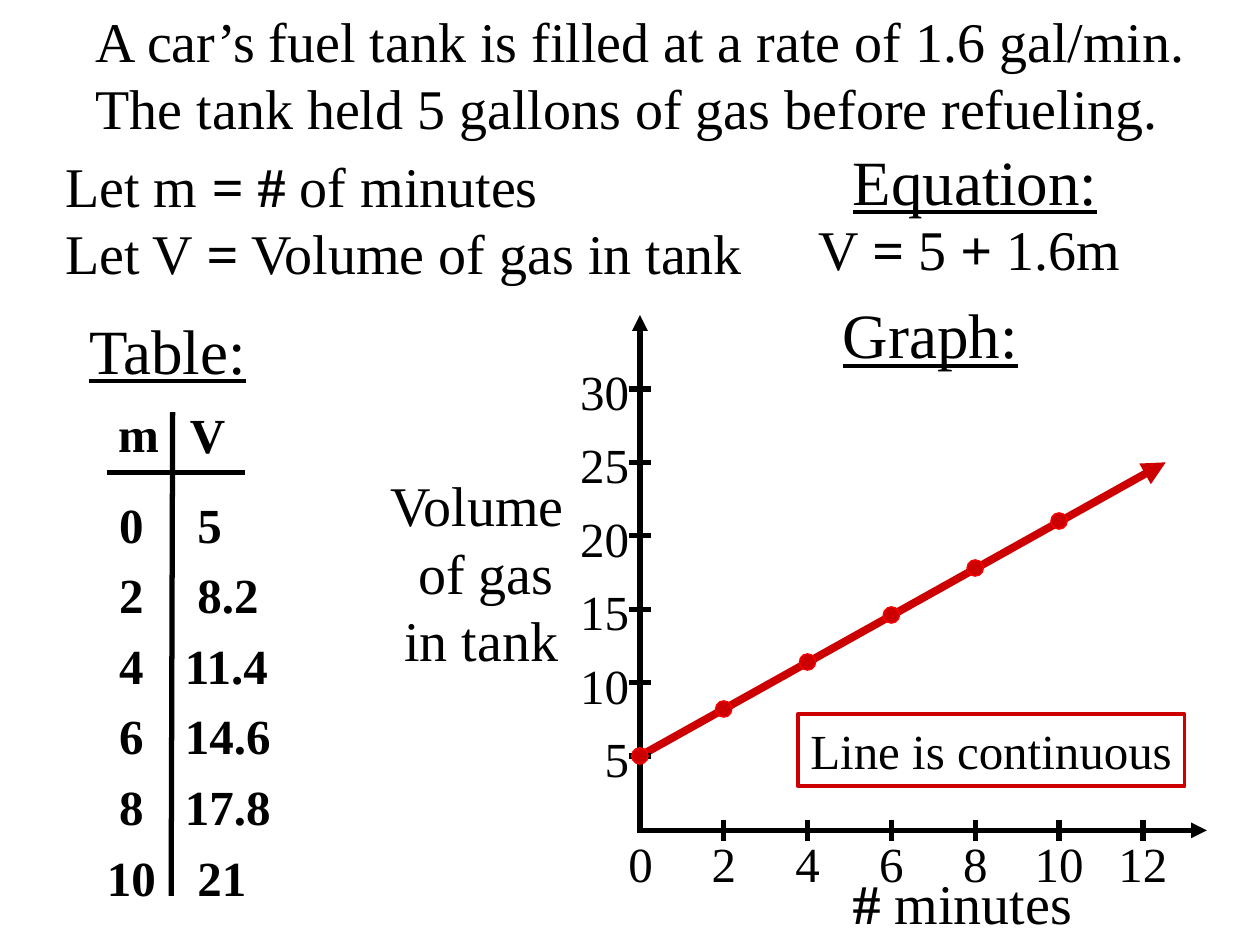
from lxml import etree
from pptx import Presentation
from pptx import util as u
from pptx.dml.color import RGBColor
from pptx.enum import shapes, text
from pptx.oxml.ns import qn

FONT = "Times New Roman"
BLACK, RED, BRIGHT_RED = "000000", "CC0000", "FF0000"
LEFT, CENTER, RIGHT = text.PP_ALIGN.LEFT, text.PP_ALIGN.CENTER, text.PP_ALIGN.RIGHT

# Asterisks enclose bold words; lengths are in cm.
PROBLEM = ["A car’s fuel tank is filled at a rate of 1.6 gal/min.",
           "The tank held 5 gallons of gas before refueling."]
VARIABLES = ["Let m *= #* of minutes", "Let V *=* Volume of gas in tank"]
EQUATION = ["V *=* 5 *+* 1.6m"]
HEADINGS = [("Table:", 1.55, 6.15), ("Graph:", 16.74, 5.84), ("Equation:", 16.94, 2.74)]
VALUES = [(0, 5), (2, 8.2), (4, 11.4), (6, 14.6), (8, 17.8), (10, 21)]
MINUTES = [2, 4, 6, 8, 10, 12]
GALLONS = [5, 10, 15, 20, 25, 30]
VOLUME_LABEL = ["Volume", "of gas", "in tank"]

ORIGIN_X, ORIGIN_Y = 12.9, 16.74
FIVE_GALLONS_Y = 15.24
MINUTE = 1.69 / 2
GALLON = 1.48 / 5
TICK = 0.43
DOT = 0.33


def color(value):
    return RGBColor.from_string(value)


def x_at(minutes):
    return ORIGIN_X + minutes * MINUTE


def y_at(gallons):
    return FIVE_GALLONS_Y - (gallons - 5) * GALLON


def write(frame, lines, size, bold=False, underline=False, align=LEFT, spacing=None, indents=()):
    frame.word_wrap = True
    for index, line in enumerate(lines):
        para = frame.paragraphs[0] if index == 0 else frame.add_paragraph()
        para.alignment = align
        if spacing:
            para.line_spacing = spacing
        if index < len(indents):
            para._p.get_or_add_pPr().set("marL", str(u.Cm(indents[index])))
        for part, words in enumerate(line.split("*")):
            if words:
                span = para.add_run()
                span.text = words
                span.font.name = FONT
                span.font.size = u.Pt(size)
                span.font.bold = bold or part % 2 == 1
                span.font.underline = underline
                span.font.color.rgb = color(BLACK)


def add_text(left, top, width, height, lines, size, **style):
    box = page.shapes.add_textbox(u.Cm(left), u.Cm(top), u.Cm(width), u.Cm(height))
    write(box.text_frame, lines, size, **style)
    return box


def add_line(x1, y1, x2, y2, line_color=BLACK, weight=3, arrow=False):
    line = page.shapes.add_connector(shapes.MSO_CONNECTOR.STRAIGHT,
                                     u.Cm(x1), u.Cm(y1), u.Cm(x2), u.Cm(y2))
    line.line.color.rgb = color(line_color)
    line.line.width = u.Pt(weight)
    if arrow:
        etree.SubElement(line.line._get_or_add_ln(), qn("a:tailEnd"), type="triangle")
    etree.SubElement(line._element.spPr, qn("a:effectLst"))


def add_shape(kind, left, top, width, height, line_color, weight, fill=None):
    shape = page.shapes.add_shape(kind, u.Cm(left), u.Cm(top), u.Cm(width), u.Cm(height))
    shape.shadow.inherit = False
    shape.line.color.rgb = color(line_color)
    shape.line.width = u.Pt(weight)
    if fill:
        shape.fill.solid()
        shape.fill.fore_color.rgb = color(fill)
    else:
        shape.fill.background()
    return shape


def add_tabs(para, positions):
    """Put centred tab stops at the given distances from the text edge."""
    tabs = etree.SubElement(para._p.get_or_add_pPr(), qn("a:tabLst"))
    for position in positions:
        etree.SubElement(tabs, qn("a:tab"), pos=str(u.Cm(position)), algn="ctr")


deck = Presentation()
deck.slide_width, deck.slide_height = u.Cm(25.4), u.Cm(19.05)
page = deck.slides.add_slide(deck.slide_layouts[6])

# Problem, variables and equation
add_text(1.68, 0, 23, 2.97, PROBLEM, 32)
add_text(1.07, 2.92, 14.6, 4.32, VARIABLES, 32)
add_text(15.98, 4.19, 7.2, 1.63, EQUATION, 32, indents=[0.28])
for heading, left, top in HEADINGS:
    add_text(left, top, 5.5, 1.78, [heading], 36, underline=True)

# Table of values
add_line(3.48, 8.31, 3.45, 18.06)
add_line(2.16, 9.53, 4.93, 9.53)
add_text(2.13, 8, 1.6, 1.45, ["m"], 28, bold=True)
add_text(3.58, 8.03, 1.5, 1.45, ["V"], 28, bold=True)
add_text(1.65, 9.6, 2, 8.79, [str(m) for m, _ in VALUES], 28,
         bold=True, align=CENTER, spacing=1.2)
volumes = [str(v) for _, v in VALUES]
add_text(3.48, 9.6, 2.6, 8.79, volumes, 28, bold=True, spacing=1.2,
         indents=[0 if len(v) == 4 else 0.25 for v in volumes])

# Graph
add_line(x_at(0), y_at(5), 23.5, 9.32, RED, 4.5, arrow=True)
add_line(ORIGIN_X, 16.79, ORIGIN_X, 6.35, arrow=True)
add_line(ORIGIN_X, ORIGIN_Y, 24.33, ORIGIN_Y, arrow=True)
for minutes in MINUTES:
    add_line(x_at(minutes), ORIGIN_Y - TICK / 2, x_at(minutes), ORIGIN_Y + TICK / 2)
for gallons in GALLONS:
    add_line(ORIGIN_X - TICK / 2, y_at(gallons), ORIGIN_X + TICK / 2, y_at(gallons))
for minutes, gallons in VALUES:
    add_shape(shapes.MSO_SHAPE.OVAL, x_at(minutes) - DOT / 2, y_at(gallons) - DOT / 2,
              DOT, DOT, BRIGHT_RED, 0.75, RED)

add_text(10.9, 6.86, 2.03, 10.6, [str(g) for g in reversed(GALLONS)], 28,
         align=RIGHT, spacing=1.25)
add_text(7.62, 9.37, 4.14, 4.32, VOLUME_LABEL, 32, indents=[0, 0.56, 0.28])

labels_left = 12.42
minute_labels = "\t".join(str(m) for m in [0] + MINUTES)
labels = add_text(labels_left, 17.04, 11.6, 1.9, [minute_labels, "*# *minutes"], 28,
                  spacing=0.65, indents=[0, 4.52])
tick_row, title_row = labels.text_frame.paragraphs
add_tabs(tick_row, [x_at(m) - labels_left - 0.25 for m in MINUTES])
for span in title_row.runs:
    span.font.size = u.Pt(32)

note = add_shape(shapes.MSO_SHAPE.RECTANGLE, 16.08, 14.4, 7.8, 1.45, RED, 2.25)
write(note.text_frame, ["Line is continuous"], 28, align=CENTER)
note.text_frame.word_wrap = False

deck.save("out.pptx")
